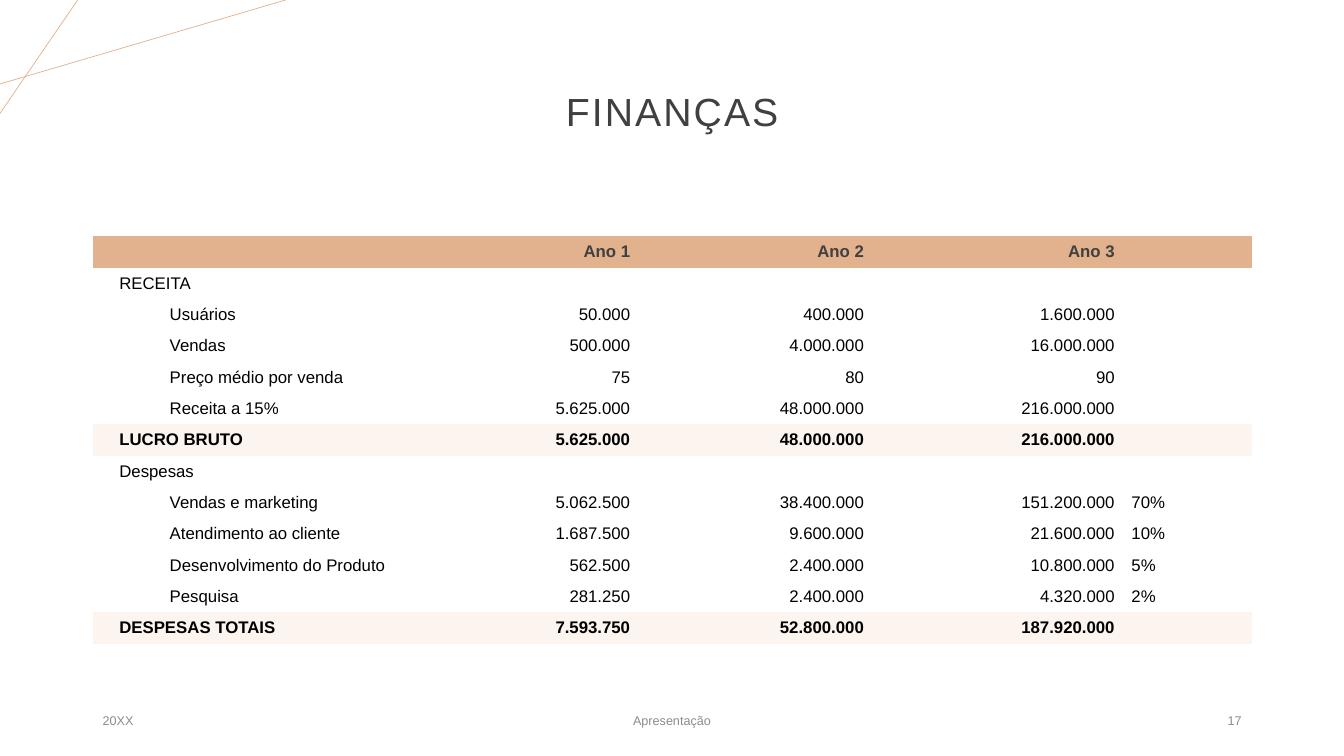
from lxml import etree
from pptx import Presentation
from pptx.dml.color import RGBColor
from pptx.enum.shapes import MSO_CONNECTOR
from pptx.enum.text import MSO_ANCHOR, PP_ALIGN
from pptx.oxml.ns import qn
from pptx.util import Pt

LEFT, CENTER, RIGHT = PP_ALIGN.LEFT, PP_ALIGN.CENTER, PP_ALIGN.RIGHT
MIDDLE = MSO_ANCHOR.MIDDLE
STRAIGHT = MSO_CONNECTOR.STRAIGHT

FONT = "Arial"
COLORS = {
    "accent": "E2B18D",
    "total": "FBF4EF",
    "heading": "404040",
    "body": "000000",
    "footer": "8C8C8C",
}
PLAIN_TABLE_STYLE = "{2D5ABB26-0587-4C30-8999-92F81FD0307C}"

MARGIN = 66.24
CONTENT_WIDTH = 828
COLUMN_WIDTHS = [254.7, 135.2, 167, 179.1, 92]
ROW_HEIGHT = 22.4

# Each row: kind, then its texts from the left
FINANCES = [
    ("header", "", "Ano 1", "Ano 2", "Ano 3", ""),
    ("section", "RECEITA", "", "", "", ""),
    ("item", "Usuários", "50.000", "400.000", "1.600.000", ""),
    ("item", "Vendas", "500.000", "4.000.000", "16.000.000", ""),
    ("item", "Preço médio por venda", "75", "80", "90", ""),
    ("item", "Receita a 15%", "5.625.000", "48.000.000", "216.000.000", ""),
    ("total", "LUCRO BRUTO", "5.625.000", "48.000.000", "216.000.000", ""),
    ("section", "Despesas", "", "", "", ""),
    ("item", "Vendas e marketing", "5.062.500", "38.400.000", "151.200.000", "70%"),
    ("item", "Atendimento ao cliente", "1.687.500", "9.600.000", "21.600.000", "10%"),
    ("item", "Desenvolvimento do Produto", "562.500", "2.400.000", "10.800.000", "5%"),
    ("item", "Pesquisa", "281.250", "2.400.000", "4.320.000", "2%"),
    ("total", "DESPESAS TOTAIS", "7.593.750", "52.800.000", "187.920.000", ""),
]
ROW_FILLS = {"header": "accent", "total": "total"}


def rgb(name):
    return RGBColor.from_string(COLORS[name])


def format_text(paragraph, size, color, align, bold=False):
    paragraph.alignment = align
    for run in paragraph.runs:
        run.font.name = FONT
        run.font.size = Pt(size)
        run.font.bold = bold
        run.font.color.rgb = rgb(color)


def add_label(slide, text, left, top, width, height, size, color, align):
    label = slide.shapes.add_textbox(Pt(left), Pt(top), Pt(width), Pt(height))
    frame = label.text_frame
    frame.word_wrap = True
    frame.vertical_anchor = MIDDLE
    frame.text = text
    format_text(frame.paragraphs[0], size, color, align)
    return frame.paragraphs[0]


def add_accent_line(slide, x1, y1, x2, y2):
    line = slide.shapes.add_connector(STRAIGHT, Pt(x1), Pt(y1), Pt(x2), Pt(y2))
    line.line.color.rgb = rgb("accent")
    line.line.width = Pt(0.5)
    etree.SubElement(line._element.spPr, qn("a:effectLst"))


def fill_cell(cell, kind, column, text):
    if kind in ROW_FILLS:
        cell.fill.solid()
        cell.fill.fore_color.rgb = rgb(ROW_FILLS[kind])
    else:
        cell.fill.background()
    cell.vertical_anchor = MIDDLE
    cell.margin_left = Pt(19 if column == 0 else 6)
    cell.margin_right = Pt(6)
    cell.margin_top = cell.margin_bottom = Pt(3)

    paragraph = cell.text_frame.paragraphs[0]
    if not text:
        # Keep an empty cell from stretching its row
        etree.SubElement(paragraph._p, qn("a:endParaRPr"), sz="1200")
        return
    paragraph.text = text
    format_text(
        paragraph,
        12,
        "heading" if kind == "header" else "body",
        RIGHT if column in (1, 2, 3) else LEFT,
        bold=kind in ROW_FILLS,
    )
    if kind == "item" and column == 0:
        paragraph.level = 1
        properties = paragraph._p.get_or_add_pPr()
        properties.set("marL", str(Pt(36)))
        properties.set("indent", "0")


def add_finance_table(slide, left, top):
    table = slide.shapes.add_table(
        len(FINANCES), len(COLUMN_WIDTHS), Pt(left), Pt(top),
        Pt(CONTENT_WIDTH), Pt(ROW_HEIGHT * len(FINANCES)),
    ).table
    table.horz_banding = False
    table._tbl.tblPr.find(qn("a:tableStyleId")).text = PLAIN_TABLE_STYLE
    for column, width in zip(table.columns, COLUMN_WIDTHS):
        column.width = Pt(width)
    for row, (kind, *texts) in zip(table.rows, FINANCES):
        row.height = Pt(ROW_HEIGHT)
        for column, text in enumerate(texts):
            fill_cell(row.cells[column], kind, column, text)


def main():
    deck = Presentation()
    deck.slide_width, deck.slide_height = Pt(960), Pt(540)
    slide = deck.slides.add_slide(deck.slide_layouts[6])

    # Corner decoration
    add_accent_line(slide, 0, 60, 204, 0)
    add_accent_line(slide, 55.5, 0, 0, 81)

    # Title
    title = add_label(slide, "FINANÇAS", MARGIN, 28.8, CONTENT_WIDTH, 104.4,
                      28, "heading", CENTER)
    title.line_spacing = 0.9
    title.runs[0].font._element.set("spc", "150")

    # Finance table
    add_finance_table(slide, MARGIN, 168.7)

    # Footer
    for text, left, width, align in [
        ("20XX", MARGIN, 216, LEFT),
        ("Apresentação", 318, 324, CENTER),
        ("17", 678, 216, RIGHT),
    ]:
        add_label(slide, text, left, 500.5, width, 28.8, 9, "footer", align)

    deck.save("out.pptx")


if __name__ == "__main__":
    main()
